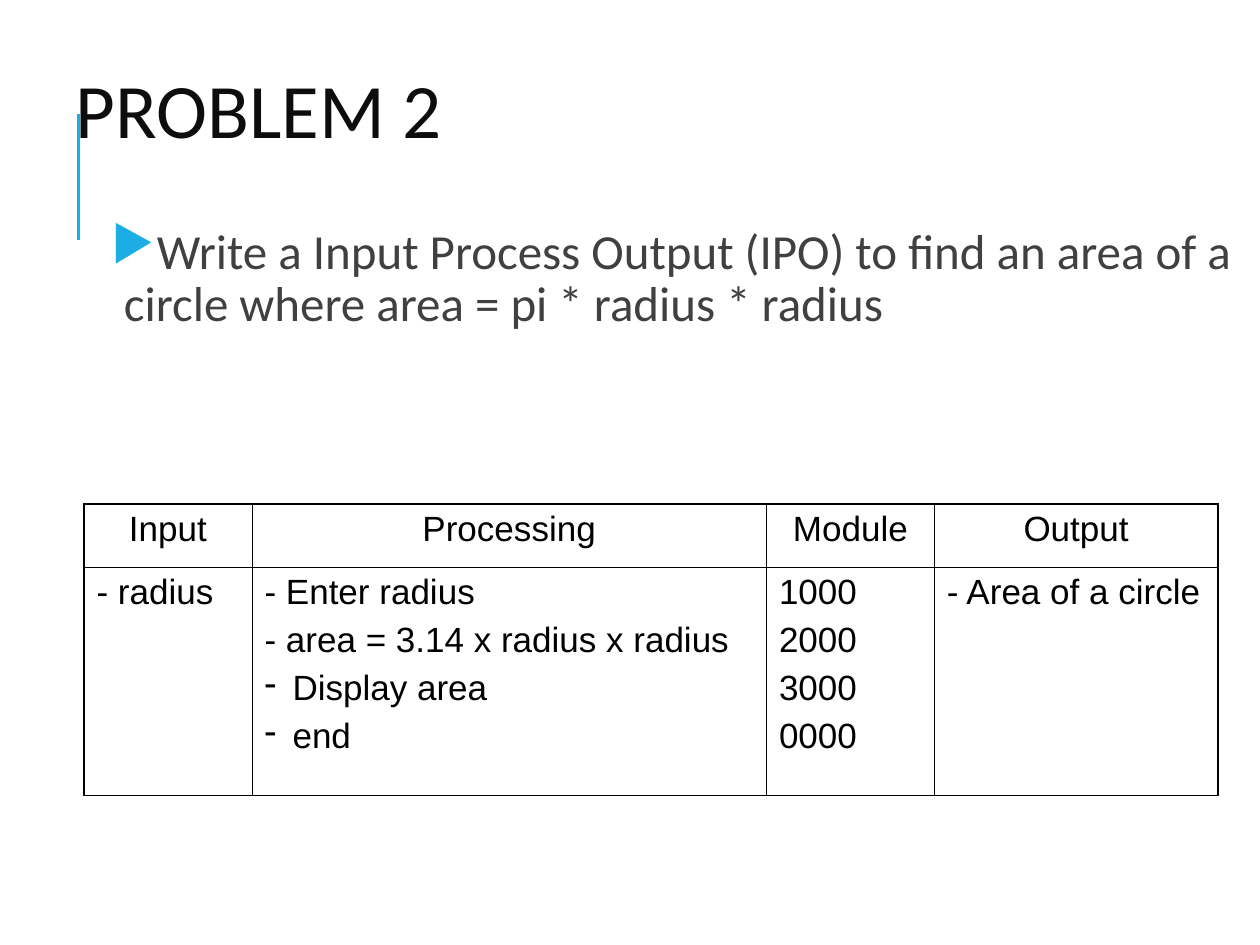
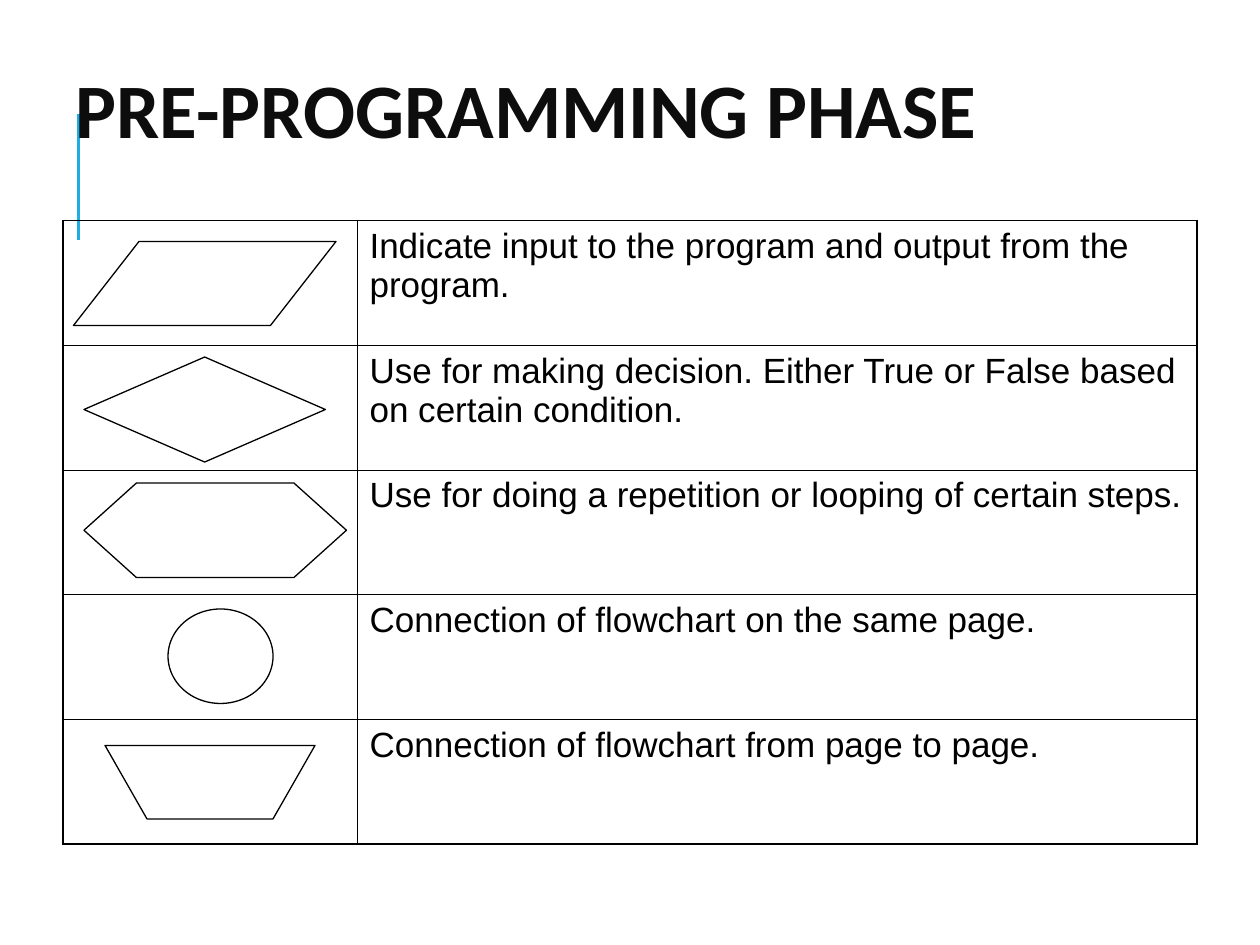
from lxml.etree import SubElement
from pptx import Presentation
from pptx.dml.color import RGBColor
from pptx.enum.shapes import MSO_CONNECTOR, MSO_SHAPE
from pptx.enum.text import MSO_ANCHOR, MSO_AUTO_SIZE, PP_ALIGN
from pptx.oxml.ns import qn
from pptx.util import Pt

ACCENT, TITLE, BODY, INK, PAPER = "1CADE4", "0D0D0D", "404040", "000000", "FFFFFF"
OUTER, INNER = 1.08, 0.45
TITLE_BOX = (36, 21.6, 648, 90)
TASK_BOX = (60, 126, 660, 90)
IPO_BOX = (48, 288, 648, 166.5)
SYMBOLS_BOX = (36, 126, 648, 356.4)

IPO_ROWS = [
    ["Input", "Processing", "Module", "Output"],
    ["- radius",
     "- Enter radius\n- area = 3.14 x radius x radius\nDisplay area\nend",
     "1000\n2000\n3000\n0000",
     "- Area of a circle"],
]
DASHED = ("Display area", "end")

SYMBOLS = [
    (MSO_SHAPE.PARALLELOGRAM, (6, 12, 150, 48),
     "Indicate input to the program and output from the program."),
    (MSO_SHAPE.DIAMOND, (12, 78, 138, 60),
     "Use for making decision. Either True or False based on certain condition."),
    (MSO_SHAPE.FLOWCHART_PREPARATION, (12, 150, 150, 54),
     "Use for doing a repetition or looping of certain steps."),
    (MSO_SHAPE.OVAL, (60, 222, 60, 54),
     "Connection of flowchart on the same page."),
    (MSO_SHAPE.FLOWCHART_MANUAL_OPERATION, (24, 300, 120, 42),
     "Connection of flowchart from page to page."),
]


def colour(hex_code):
    """Turn a hex string into a colour."""
    return RGBColor.from_string(hex_code)


def points(box):
    """Turn a box of numbers into lengths."""
    return [Pt(value) for value in box]


def style(paragraph, font_name, size, hex_code, bold=False):
    """Set the font of a whole paragraph."""
    font = paragraph.font
    font.name, font.size, font.bold = font_name, Pt(size), bold
    font.color.rgb = colour(hex_code)


def add_bullet(paragraph, mark, hex_code, indent):
    """Give a paragraph a coloured bullet with a hanging indent."""
    properties = paragraph._p.get_or_add_pPr()
    properties.set("marL", str(Pt(indent)))
    properties.set("indent", str(-Pt(indent)))
    bullet_colour = SubElement(properties, qn("a:buClr"))
    SubElement(bullet_colour, qn("a:srgbClr"), val=hex_code)
    SubElement(properties, qn("a:buChar"), char=mark)


def add_borders(cell, widths):
    """Draw the left, right, top and bottom borders of a cell."""
    properties = cell._tc.get_or_add_tcPr()
    for side, width in zip("LRTB", widths):
        border = SubElement(properties, qn(f"a:ln{side}"), w=str(Pt(width)))
        fill = SubElement(border, qn("a:solidFill"))
        SubElement(fill, qn("a:srgbClr"), val=INK)


def fill_cell(cell, text, centred):
    """Write the lines of a cell."""
    cell.text_frame.text = text
    for index, paragraph in enumerate(cell.text_frame.paragraphs):
        if index:
            paragraph.space_before = Pt(5)
        if centred:
            paragraph.alignment = PP_ALIGN.CENTER
        if paragraph.text in DASHED:
            add_bullet(paragraph, "-", INK, 16)
        style(paragraph, "Arial", 20, INK)


def add_grid(slide, box, rows, column_widths, row_heights, has_header=False):
    """Add an unfilled table with a heavier outer frame."""
    last_row, last_column = len(rows) - 1, len(column_widths) - 1
    table = slide.shapes.add_table(len(rows), len(column_widths), *points(box)).table
    table.first_row = table.horz_banding = False
    for column, width in zip(table.columns, column_widths):
        column.width = Pt(width)
    for row, height in zip(table.rows, row_heights):
        row.height = Pt(height)
    for r, texts in enumerate(rows):
        for c, text in enumerate(texts):
            cell = table.cell(r, c)
            edges = (c == 0, c == last_column, r == 0, r == last_row)
            add_borders(cell, [OUTER if edge else INNER for edge in edges])
            cell.fill.background()
            fill_cell(cell, text, has_header and r == 0)


def add_titled_slide(deck, heading, bold=False):
    """Add a slide with its heading and the accent line behind it."""
    slide = deck.slides.add_slide(deck.slide_layouts[5])
    title = slide.shapes.title
    title.left, title.top, title.width, title.height = points(TITLE_BOX)
    frame = title.text_frame
    frame.text = heading
    frame.auto_size = MSO_AUTO_SIZE.NONE
    frame.vertical_anchor = MSO_ANCHOR.MIDDLE
    paragraph = frame.paragraphs[0]
    paragraph.alignment = PP_ALIGN.LEFT
    paragraph.line_spacing = 0.8
    style(paragraph, "Calibri", 44, TITLE, bold)

    accent = slide.shapes.add_connector(
        MSO_CONNECTOR.STRAIGHT, *points((45, 137, 45, 65)))
    accent.line.color.rgb = colour(ACCENT)
    accent.line.width = Pt(1.5)
    SubElement(accent._element.spPr, qn("a:effectLst"))
    title._element.addprevious(accent._element)
    return slide


def add_task(slide, box, text):
    """Add the bulleted task statement."""
    frame = slide.shapes.add_textbox(*points(box)).text_frame
    frame.word_wrap = True
    frame.margin_left = frame.margin_right = Pt(3.6)
    frame.text = text
    paragraph = frame.paragraphs[0]
    paragraph.line_spacing = 0.9
    add_bullet(paragraph, "▶", ACCENT, 7.2)
    style(paragraph, "Calibri", 28, BODY)


def add_symbol(slide, origin, kind, place):
    """Draw one flowchart symbol relative to the table's corner."""
    left, top, width, height = place
    symbol = slide.shapes.add_shape(
        kind, *points((origin[0] + left, origin[1] + top, width, height)))
    if kind == MSO_SHAPE.PARALLELOGRAM:
        symbol.adjustments[0] = 0.78
    symbol.shadow.inherit = False
    symbol.fill.solid()
    symbol.fill.fore_color.rgb = colour(PAPER)
    symbol.line.color.rgb = colour(INK)
    symbol.line.width = Pt(0.75)


def build_problem(deck):
    """Build the slide with the task and its IPO chart."""
    slide = add_titled_slide(deck, "PROBLEM 2")
    add_grid(slide, IPO_BOX, IPO_ROWS, (96, 294, 96, 162), (36, 130.5), has_header=True)
    add_task(slide, TASK_BOX, "Write a Input Process Output (IPO) to find an area of a "
                              "circle where area = pi * radius * radius")


def build_symbols(deck):
    """Build the slide that explains the flowchart symbols."""
    slide = add_titled_slide(deck, "PRE-PROGRAMMING PHASE", bold=True)
    rows = [["", meaning] for _, _, meaning in SYMBOLS]
    row_height = SYMBOLS_BOX[3] / len(rows)
    add_grid(slide, SYMBOLS_BOX, rows, (168, 480), [row_height] * len(rows))
    for kind, place, _ in SYMBOLS:
        add_symbol(slide, SYMBOLS_BOX[:2], kind, place)


def main():
    """Build and save the deck."""
    deck = Presentation()
    deck.slide_width, deck.slide_height = Pt(720), Pt(540)
    build_problem(deck)
    build_symbols(deck)
    deck.save("out.pptx")


if __name__ == "__main__":
    main()
